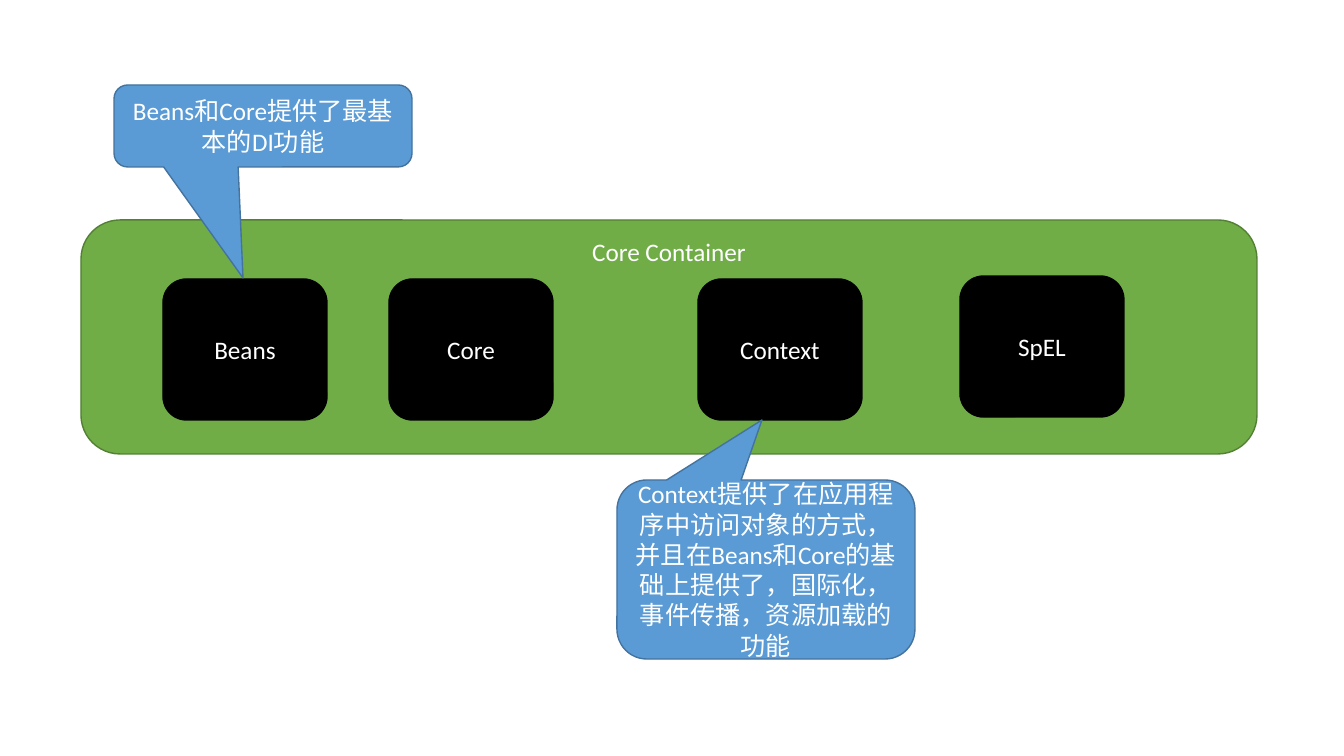
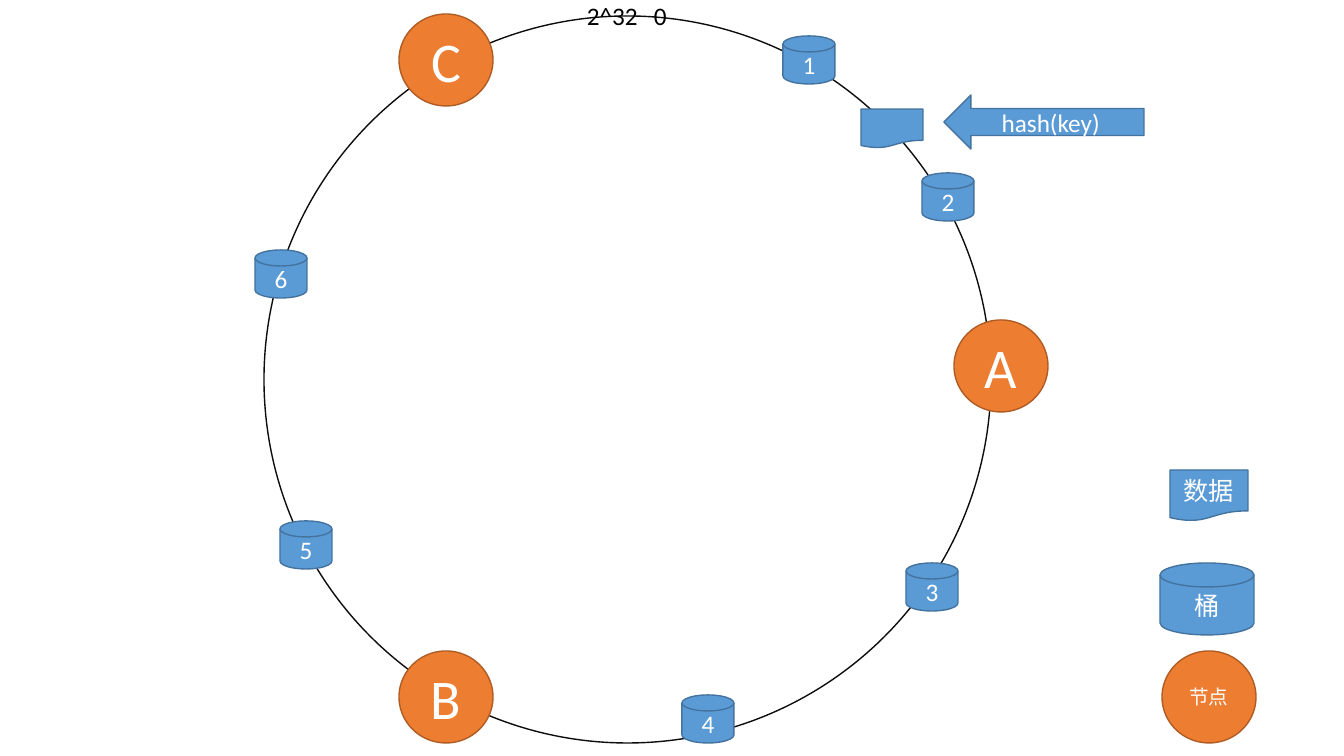
from lxml import etree
from pptx import Presentation
from pptx.dml.color import RGBColor
from pptx.enum.shapes import MSO_SHAPE as Shape
from pptx.enum.text import MSO_ANCHOR as Anchor, PP_ALIGN as Align
from pptx.oxml.ns import qn
from pptx.util import Emu, Pt

SCALE = 914400 / 100.8  # EMU in one pixel
SLIDE_SIZE = (1344, 756)
FONT = "Calibri"
TEXT_SIZE = 18

# Colours, and styles as (fill, line)
WHITE = RGBColor(0xFF, 0xFF, 0xFF)
BLACK = RGBColor(0x00, 0x00, 0x00)
BLUE = (RGBColor(0x5B, 0x9B, 0xD5), RGBColor(0x43, 0x73, 0x9E))
GREEN = (RGBColor(0x70, 0xAD, 0x47), RGBColor(0x53, 0x80, 0x35))
ORANGE = (RGBColor(0xED, 0x7D, 0x31), RGBColor(0xAF, 0x5C, 0x24))
DARK = (BLACK, BLACK)
OUTLINE = (None, RGBColor(0x0D, 0x0D, 0x0D))

# Slide 1 content: boxes are left, top, width, height
CONTAINER = ("Core Container", (81, 220, 1176, 234))
MODULE_SIZE = (164, 141)
MODULES = [("Beans", (163, 279)), ("Core", (389, 279)),
           ("Context", (698, 279)), ("SpEL", (960, 276))]
CALLOUTS = [  # text, box, tip of the pointer
    ("Beans和Core提供了最基本的DI功能", (114, 85, 298, 82), (243, 278)),
    ("Context提供了在应用程序中访问对象的方式，并且在Beans和Core的"
     "基础上提供了，国际化，事件传播，资源加载的功能",
     (617, 480, 298, 179), (762, 420)),
]

# Slide 2 content
RING = (264, 16, 727, 727)
RING_LABEL = ("2^32\t0", (577, -5, 102, 40))
RING_LABEL_TAB = 67
BUCKET_SIZE = (52, 48)
BUCKETS = [("1", (783, 36)), ("2", (922, 173)), ("3", (906, 563)),
           ("4", (682, 695)), ("6", (255, 250)), ("5", (280, 521))]
NODE_SIZE = (94, 92)
NODE_TEXT_SIZE = 40
NODES = [("A", (954, 320)), ("B", (399, 651)), ("C", (399, 14))]
HASH_ARROW = ("hash(key)", (944, 95, 200, 54))
DATA_ITEM = (861, 109, 62, 39)
LEGEND = [  # preset, style, text, text size, box
    (Shape.FLOWCHART_MAGNETIC_DISK, BLUE, "桶", TEXT_SIZE, (1160, 563, 94, 72)),
    (Shape.OVAL, ORANGE, "节点", 14, (1162, 651, *NODE_SIZE)),
    (Shape.FLOWCHART_DOCUMENT, BLUE, "数据", TEXT_SIZE, (1170, 470, 78, 51)),
]


def px(value):
    return Emu(round(value * SCALE))


def write(shape, text, size, color, align, anchor):
    frame = shape.text_frame
    frame.word_wrap = True
    frame.vertical_anchor = anchor
    paragraph = frame.paragraphs[0]
    paragraph.text = text
    paragraph.alignment = align
    paragraph.font.name = FONT
    paragraph.font.size = Pt(size)
    paragraph.font.color.rgb = color
    return paragraph


def add_shape(slide, preset, box, style, text="", size=TEXT_SIZE,
              anchor=Anchor.MIDDLE):
    shape = slide.shapes.add_shape(preset, *map(px, box))
    shape.shadow.inherit = False
    fill, line = style
    if fill is None:
        shape.fill.background()
    else:
        shape.fill.solid()
        shape.fill.fore_color.rgb = fill
    shape.line.color.rgb = line
    shape.line.width = Pt(1)
    if text:
        write(shape, text, size, WHITE, Align.CENTER, anchor)
    return shape


def add_callout(slide, text, box, tip):
    shape = add_shape(slide, Shape.ROUNDED_RECTANGULAR_CALLOUT, box, BLUE, text)
    left, top, width, height = box
    shape.adjustments[0] = (tip[0] - left) / width - 0.5
    shape.adjustments[1] = (tip[1] - top) / height - 0.5


def add_ring_label(slide):
    text, box = RING_LABEL
    label = slide.shapes.add_textbox(*map(px, box))
    paragraph = write(label, text, TEXT_SIZE, BLACK, Align.LEFT, Anchor.TOP)
    label.text_frame.margin_right = 0
    # The tab stop belongs ahead of the default run properties
    properties = paragraph._p.get_or_add_pPr()
    tabs = etree.Element(qn("a:tabLst"))
    etree.SubElement(tabs, qn("a:tab"), pos=str(px(RING_LABEL_TAB)), algn="l")
    properties.insert(0, tabs)


def build_container_slide(slide):
    text, box = CONTAINER
    add_shape(slide, Shape.ROUNDED_RECTANGLE, box, GREEN, text,
              anchor=Anchor.TOP)
    for name, position in MODULES:
        add_shape(slide, Shape.ROUNDED_RECTANGLE, position + MODULE_SIZE,
                  DARK, name)
    for callout in CALLOUTS:
        add_callout(slide, *callout)


def build_ring_slide(slide):
    add_shape(slide, Shape.OVAL, RING, OUTLINE)
    add_ring_label(slide)
    for name, position in BUCKETS:
        add_shape(slide, Shape.FLOWCHART_MAGNETIC_DISK, position + BUCKET_SIZE,
                  BLUE, name)
    for name, position in NODES:
        add_shape(slide, Shape.OVAL, position + NODE_SIZE, ORANGE, name,
                  NODE_TEXT_SIZE)
    # Key being hashed onto the ring
    text, box = HASH_ARROW
    add_shape(slide, Shape.LEFT_ARROW, box, BLUE, text)
    add_shape(slide, Shape.FLOWCHART_DOCUMENT, DATA_ITEM, BLUE)
    for preset, style, text, size, box in LEGEND:
        add_shape(slide, preset, box, style, text, size)


presentation = Presentation()
presentation.slide_width, presentation.slide_height = map(px, SLIDE_SIZE)
blank = presentation.slide_layouts[6]
for build in (build_container_slide, build_ring_slide):
    build(presentation.slides.add_slide(blank))
presentation.save("out.pptx")
